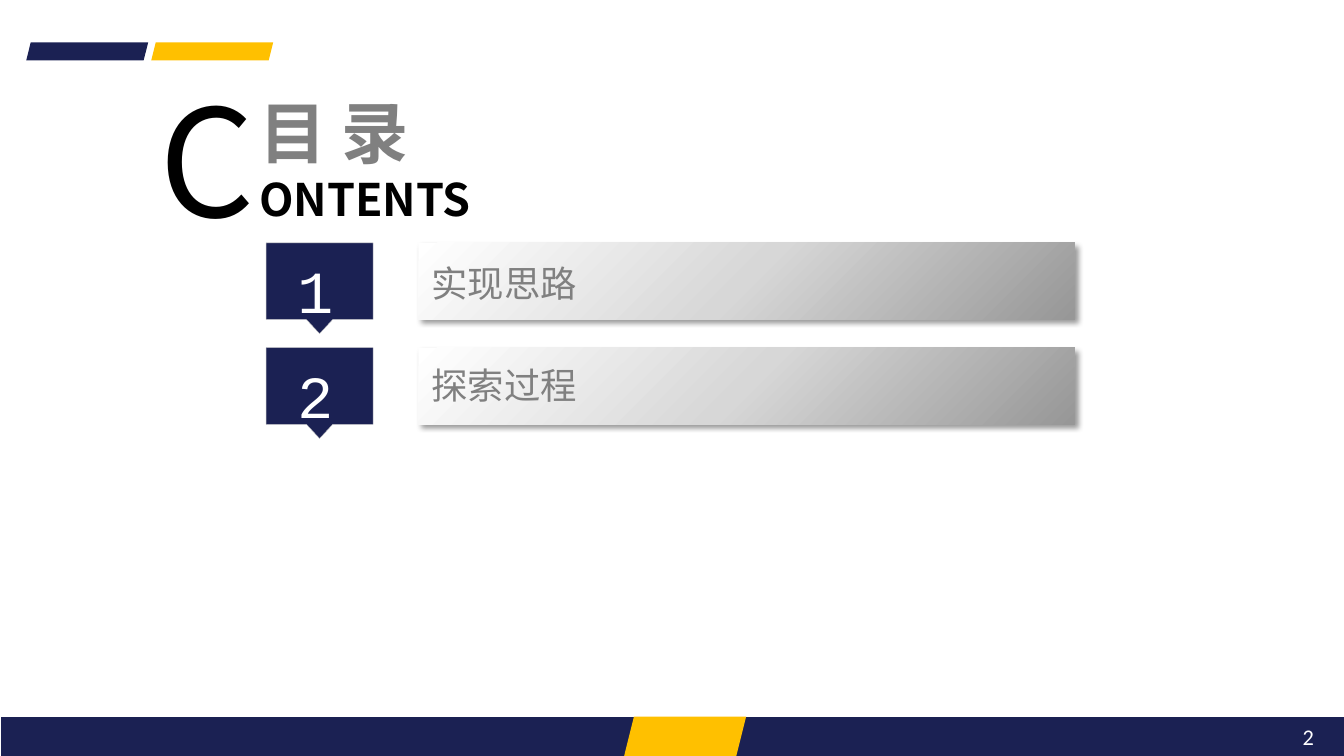
from lxml.etree import SubElement
from pptx import Presentation
from pptx.dml.color import RGBColor
from pptx.enum.shapes import MSO_SHAPE
from pptx.enum.text import MSO_ANCHOR, MSO_AUTO_SIZE, PP_ALIGN
from pptx.oxml import parse_xml
from pptx.oxml.ns import nsdecls, qn
from pptx.util import Inches, Pt

COLORS = {"navy": "1B2153", "gold": "FFC000", "gray": "808080", "edge": "BFBFBF",
          "black": "000000", "white": "FFFFFF"}
STOPS = [(0, "979797"), (50, "D7D7D7"), (100, "FFFFFF")]
SANS, MONO, PLAIN = "Noto Sans CJK SC", "Courier New", "Calibri"
WIDE = (0.13, 0.07, 0.13, 0.07)


class Deck:
    def __init__(self):
        self.prs = Presentation()
        self.prs.slide_width, self.prs.slide_height = Inches(13.33), Inches(7.5)
        self.slide = self.prs.slides.add_slide(self.prs.slide_layouts[5])
        self.shapes = self.slide.shapes

    def color(self, name):
        return RGBColor.from_string(COLORS[name])

    def paint(self, shape, fill, edge=None):
        shape.shadow.inherit = False
        shape.fill.solid()
        shape.fill.fore_color.rgb = self.color(fill)
        if edge:
            shape.line.color.rgb = self.color(edge)
            shape.line.width = Pt(0.25)
        else:
            shape.line.fill.background()

    def block(self, kind, box, fill):
        shape = self.shapes.add_shape(kind, *map(Inches, box))
        self.paint(shape, fill)
        return shape

    def outline(self, points, fill, edge=None, host=None):
        dots = [(Inches(x), Inches(y)) for x, y in points]
        pen = (host or self.shapes).build_freeform(*dots[0])
        pen.add_line_segments(dots[1:], close=True)
        self.paint(pen.convert_to_shape(), fill, edge)

    def bar(self, box):
        shape = self.block(MSO_SHAPE.RECTANGLE, box, "white")
        props = shape._element.spPr
        stops = "".join(f'<a:gs pos="{pos * 1000}"><a:srgbClr val="{tone}"/></a:gs>'
                        for pos, tone in STOPS)
        grad = parse_xml(f'<a:gradFill {nsdecls("a")} rotWithShape="1"><a:gsLst>{stops}</a:gsLst>'
                         '<a:path path="circle"><a:fillToRect l="100000" t="100000"/></a:path>'
                         '</a:gradFill>')
        props.replace(props.find(qn("a:solidFill")), grad)
        props.find(qn("a:effectLst")).append(parse_xml(
            f'<a:outerShdw {nsdecls("a")} blurRad="{Pt(4)}" dist="{Pt(3)}" dir="2700000" '
            'algn="tl" rotWithShape="0"><a:srgbClr val="000000"><a:alpha val="40000"/>'
            '</a:srgbClr></a:outerShdw>'))

    def fill_text(self, shape, runs, pad=WIDE, anchor=MSO_ANCHOR.TOP, align=PP_ALIGN.LEFT,
                  wrap=True):
        frame = shape.text_frame
        frame.auto_size = MSO_AUTO_SIZE.NONE
        frame.word_wrap = wrap
        frame.vertical_anchor = anchor
        (frame.margin_left, frame.margin_top,
         frame.margin_right, frame.margin_bottom) = map(Inches, pad)
        para = frame.paragraphs[0]
        para.alignment = align
        for text, size, face, tone, bold in runs:
            run = para.add_run()
            run.text = text
            font = run.font
            font.size, font.bold = Pt(size), bold
            font.color.rgb = self.color(tone)
            font.name = face
            SubElement(run._r.get_or_add_rPr(), qn("a:ea"), typeface=face)

    def text(self, box, runs, host=None, **style):
        self.fill_text((host or self.shapes).add_textbox(*map(Inches, box)), runs, **style)

    def title(self, box, runs):
        shape = self.shapes.title
        shape.left, shape.top, shape.width, shape.height = map(Inches, box)
        self.fill_text(shape, runs, anchor=MSO_ANCHOR.MIDDLE)

    def badge(self, num, top):
        group = self.shapes.add_group_shape().shapes
        low, tip = top + 0.76, top + 0.9
        self.outline([(2.64, top), (3.7, top), (3.7, low), (3.3, low), (3.17, tip),
                      (3.04, low), (2.64, low)], "navy", "edge", group)
        self.text((2.86, top - 0.04, 0.54, 0.82), [(num, 42.7, MONO, "white", False)],
                  group, pad=(0.09, 0.15, 0.09, 0), wrap=False)


def main():
    deck = Deck()

    # Footer band and slanted accents
    deck.outline([(0.01, 7.11), (13.34, 7.11), (13.34, 7.5), (0.01, 7.5)], "navy")
    for box, tone in [((6.19, 7.11, 1.21, 0.39), "gold"),
                      ((1.5, 0.42, 1.21, 0.18), "gold"),
                      ((0.26, 0.42, 1.21, 0.18), "navy")]:
        deck.block(MSO_SHAPE.PARALLELOGRAM, box, tone)

    # Heading
    deck.title((2.44, 0.85, 3.15, 1.45), [("目 录 ", 48, SANS, "gray", True),
                                          ("ONTENTS", 32, SANS, "black", True)])
    deck.text((1.45, 1.04, 0.98, 1.05), [("C", 106.7, SANS, "black", False)],
              anchor=MSO_ANCHOR.MIDDLE)

    # Agenda rows
    for row, (label, drop) in enumerate([("实现思路", 0.11), ("探索过程", 0.08)]):
        top = 2.41 + 1.04 * row
        deck.bar((4.15, top, 6.51, 0.76))
        deck.text((4.15, top + drop, 1.73, 0.57), [(label, 26, SANS, "gray", False)], wrap=False)
        deck.badge(str(row + 1), top)

    # Page number
    deck.text((10.02, 7.11, 3.11, 0.4), [("2", 16, PLAIN, "white", False)],
              pad=(0.1, 0.05, 0.1, 0.05), anchor=MSO_ANCHOR.MIDDLE, align=PP_ALIGN.RIGHT)

    deck.prs.save("out.pptx")


if __name__ == "__main__":
    main()
